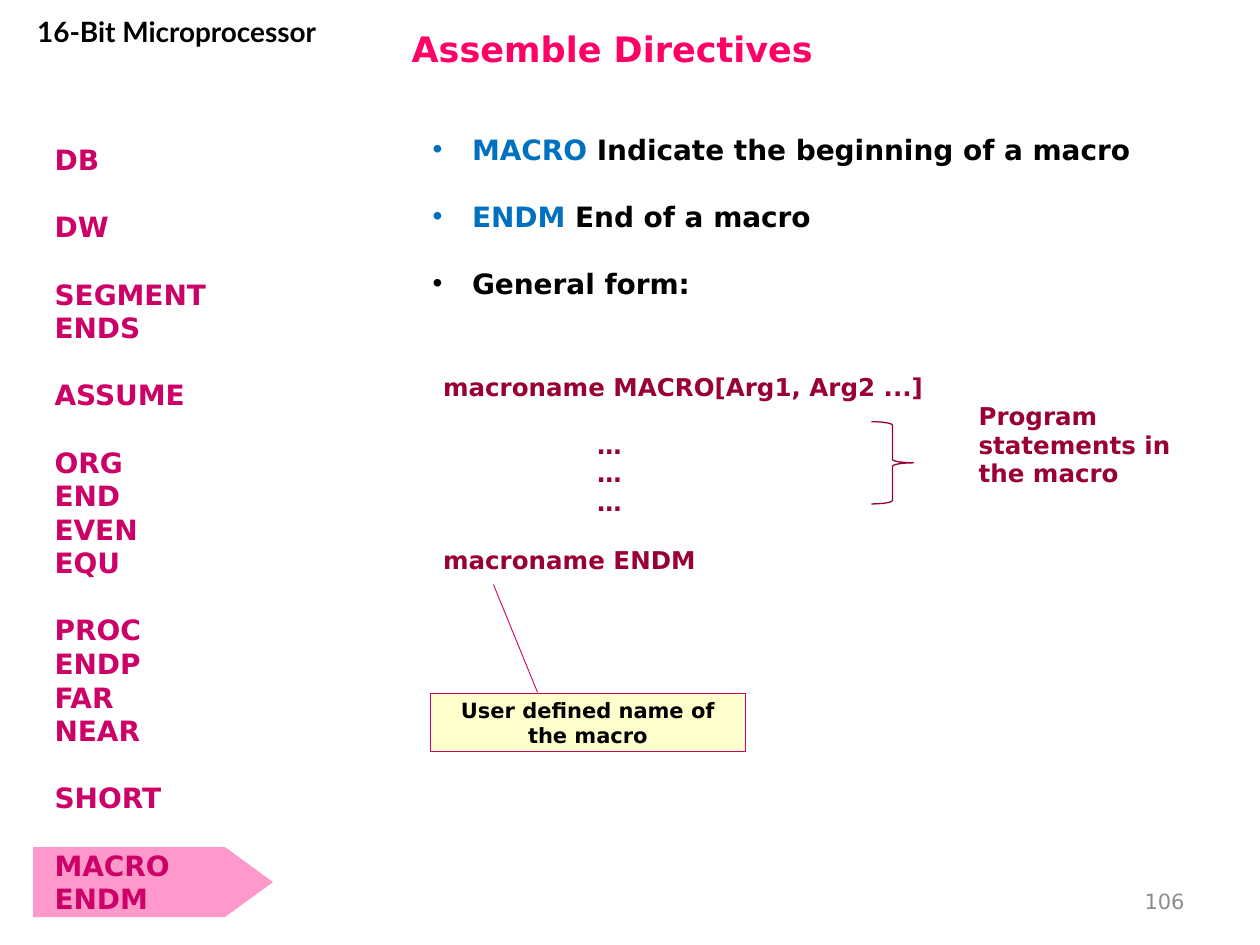
from lxml import etree
from pptx import Presentation
from pptx.dml.color import RGBColor
from pptx.enum.shapes import MSO_SHAPE
from pptx.enum.text import MSO_ANCHOR, MSO_AUTO_SIZE, PP_ALIGN
from pptx.oxml.ns import qn
from pptx.util import Pt

LEFT, CENTER, RIGHT = PP_ALIGN.LEFT, PP_ALIGN.CENTER, PP_ALIGN.RIGHT
TOP, MIDDLE = MSO_ANCHOR.TOP, MSO_ANCHOR.MIDDLE
NO_AUTOFIT = MSO_AUTO_SIZE.NONE
TAG = MSO_SHAPE.FLOWCHART_OFFPAGE_CONNECTOR
BRACE = MSO_SHAPE.RIGHT_BRACE
CALLOUT = MSO_SHAPE.LINE_CALLOUT_1

FONT = "DejaVu Sans"
COLORS = {
    "title": "FF0066",
    "directive": "CC0066",
    "highlight": "FF99CC",
    "keyword": "0070C0",
    "text": "000000",
    "macro": "990033",
    "note": "FFFFCC",
    "page": "8C8C8C",
    "paper": "FFFFFF",
}
DIRECTIVE_GROUPS = [
    ["DB"],
    ["DW"],
    ["SEGMENT", "ENDS"],
    ["ASSUME"],
    ["ORG", "END", "EVEN", "EQU"],
    ["PROC", "ENDP", "FAR", "NEAR"],
    ["SHORT"],
    ["MACRO", "ENDM"],
]
DEFINITIONS = [
    [("MACRO", "keyword"), (" Indicate the beginning of a macro", "text")],
    [("ENDM", "keyword"), (" End of a macro", "text")],
    [("General form:", "text")],
]


def rgb(name):
    """Return the named palette colour."""
    return RGBColor.from_string(COLORS[name])


def add_text(frame, text, size=16, color="text", bold=True, font=FONT,
             align=LEFT, before=0, indent=0, hanging=0, bullet=None):
    """Add a paragraph from a string or from (text, colour) pairs."""
    paragraph = frame.paragraphs[0]
    if paragraph.runs:
        paragraph = frame.add_paragraph()
    paragraph.alignment = align
    paragraph.space_before = Pt(before)
    properties = paragraph._p.get_or_add_pPr()
    properties.set("marL", str(Pt(indent)))
    properties.set("indent", str(Pt(-hanging)))
    if bullet:
        etree.SubElement(properties, qn("a:buChar")).set("char", bullet)
    else:
        etree.SubElement(properties, qn("a:buNone"))
    pieces = [(text, color)] if isinstance(text, str) else text
    for words, shade in pieces:
        run = paragraph.add_run()
        run.text = words
        run.font.size = Pt(size)
        run.font.name = font
        run.font.bold = bold
        run.font.color.rgb = rgb(shade)


def place(part, box, anchor=TOP):
    """Move a text holder into its box and return its text frame."""
    part.left, part.top, part.width, part.height = map(Pt, box)
    frame = part.text_frame
    frame.word_wrap = True
    frame.auto_size = NO_AUTOFIT
    frame.vertical_anchor = anchor
    return frame


def add_figure(slide, kind, box, fill=None, line=None, weight=0.75):
    """Add a flat preset shape."""
    figure = slide.shapes.add_shape(kind, *map(Pt, box))
    figure.shadow.inherit = False
    if fill:
        figure.fill.solid()
        figure.fill.fore_color.rgb = rgb(fill)
    else:
        figure.fill.background()
    if line:
        figure.line.color.rgb = rgb(line)
        figure.line.width = Pt(weight)
    else:
        figure.line.fill.background()
    return figure


def add_label(slide, text, box, anchor=TOP, **style):
    """Add a text box holding one line."""
    label = slide.shapes.add_textbox(*map(Pt, box))
    add_text(place(label, box, anchor), text, **style)


def add_highlight(slide, box):
    """Draw the right-pointing tag that marks the current directives."""
    left, top, width, height = box
    shift = (width - height) / 2
    tag = add_figure(slide, TAG, (left + shift, top - shift, height, width),
                     fill="highlight")
    tag.rotation = 270


def fill_directives(placeholder, box):
    """List the directives with a line of space between groups."""
    frame = place(placeholder, box)
    for group_number, group in enumerate(DIRECTIVE_GROUPS):
        for position, directive in enumerate(group):
            starts_group = group_number > 0 and position == 0
            add_text(frame, directive, color="directive",
                     before=19.2 if starts_group else 0)


def fill_definitions(placeholder, box):
    """List the bulleted meanings of the directives."""
    frame = place(placeholder, box)
    for number, definition in enumerate(DEFINITIONS):
        add_text(frame, definition, before=19.2 if number else 0,
                 indent=22.5, hanging=22.5, bullet="•")


def add_macro_form(slide, box):
    """Build the general form of a macro with its brace and callout."""
    left, top, width, height = box
    table = slide.shapes.add_table(1, 2, *map(Pt, box)).table
    table.first_row = table.horz_banding = False
    form, remark = table.cell(0, 0), table.cell(0, 1)
    for cell, share in zip((form, remark), (0.68, 0.32)):
        cell.fill.solid()
        cell.fill.fore_color.rgb = rgb("paper")
        table.columns[0 if cell is form else 1].width = Pt(width * share)

    style = {"size": 14, "color": "macro"}
    add_text(form.text_frame, "macroname MACRO[Arg1, Arg2 ...]", **style)
    for before in (16.4, 0, 0):
        add_text(form.text_frame, "…", before=before, indent=88, **style)
    add_text(form.text_frame, "macroname ENDM", before=16.4, **style)
    remark.margin_top = Pt(20)
    add_text(remark.text_frame, "Program statements in the macro", **style)

    add_figure(slide, BRACE, (left + 252, top + 31, 24, 47), line="macro")
    note = add_figure(slide, CALLOUT, (left, top + 186, 180, 33.5),
                      fill="note", line="directive", weight=0.5)
    for index, value in enumerate((-0.01, 0.34, -1.85, 0.2)):
        note.adjustments[index] = value
    note.text_frame.word_wrap = True
    note.text_frame.vertical_anchor = MIDDLE
    add_text(note.text_frame, "User defined name of the macro", size=12,
             align=CENTER)


def main():
    """Build and save the slide."""
    deck = Presentation()
    deck.slide_width, deck.slide_height = Pt(720), Pt(540)
    slide = deck.slides.add_slide(deck.slide_layouts[3])
    title, directives, definitions = slide.placeholders

    add_text(place(title, (228, 8.5, 474, 38), MIDDLE), "Assemble Directives",
             size=20, color="title")
    add_label(slide, "16-Bit Microprocessor", (5, 5, 192, 46), font="Lato",
              align=CENTER)
    add_label(slide, "106", (516, 500.5, 168, 29), anchor=MIDDLE, size=12,
              color="page", bold=False, align=RIGHT)
    add_highlight(slide, (19, 484, 137, 40))
    fill_directives(directives, (24, 78, 117, 453))
    fill_definitions(definitions, (240, 72, 444, 104))
    add_macro_form(slide, (246, 210, 450, 124.5))
    slide.shapes._spTree.insert(2, slide.shapes[5]._element)
    deck.save("out.pptx")


if __name__ == "__main__":
    main()
